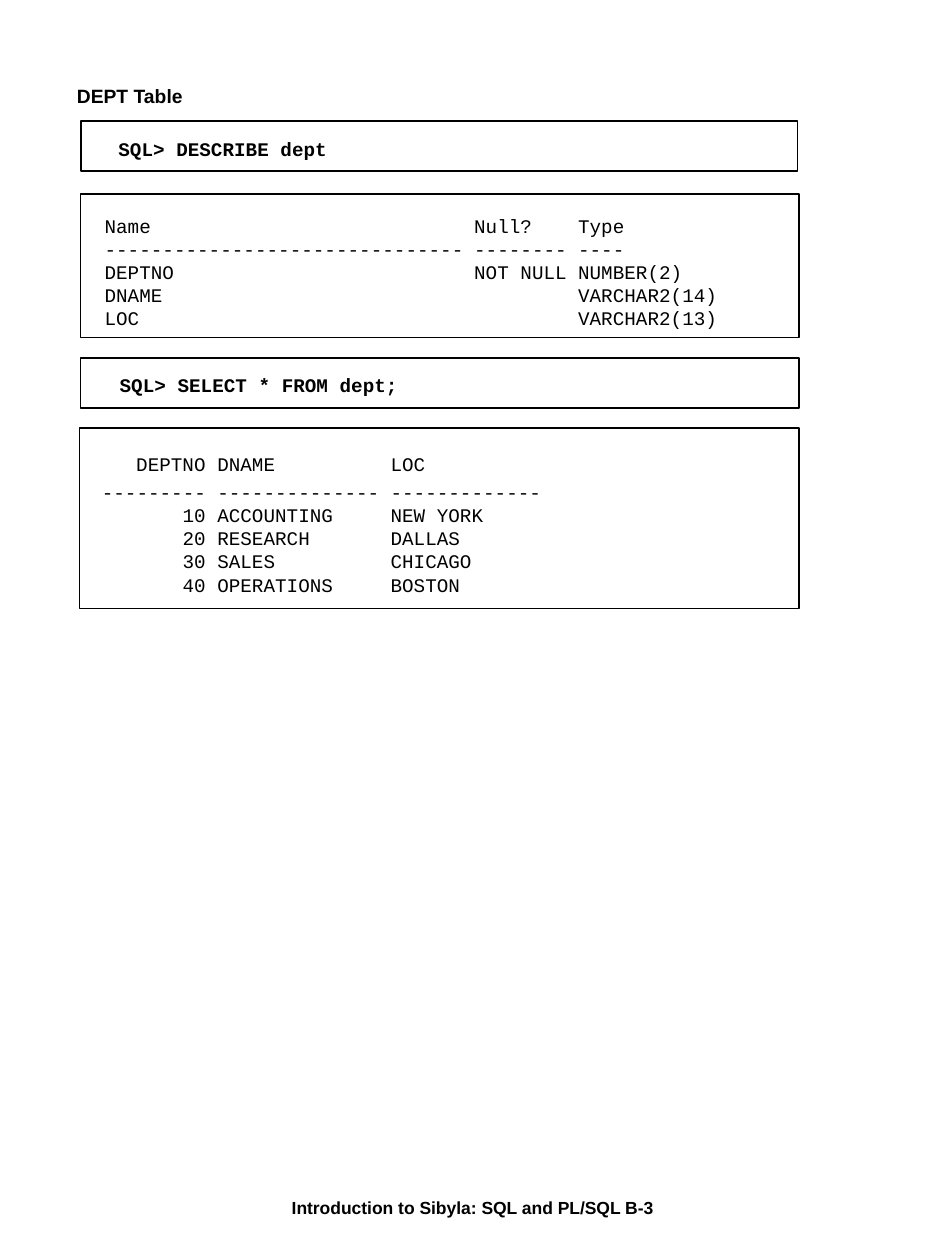
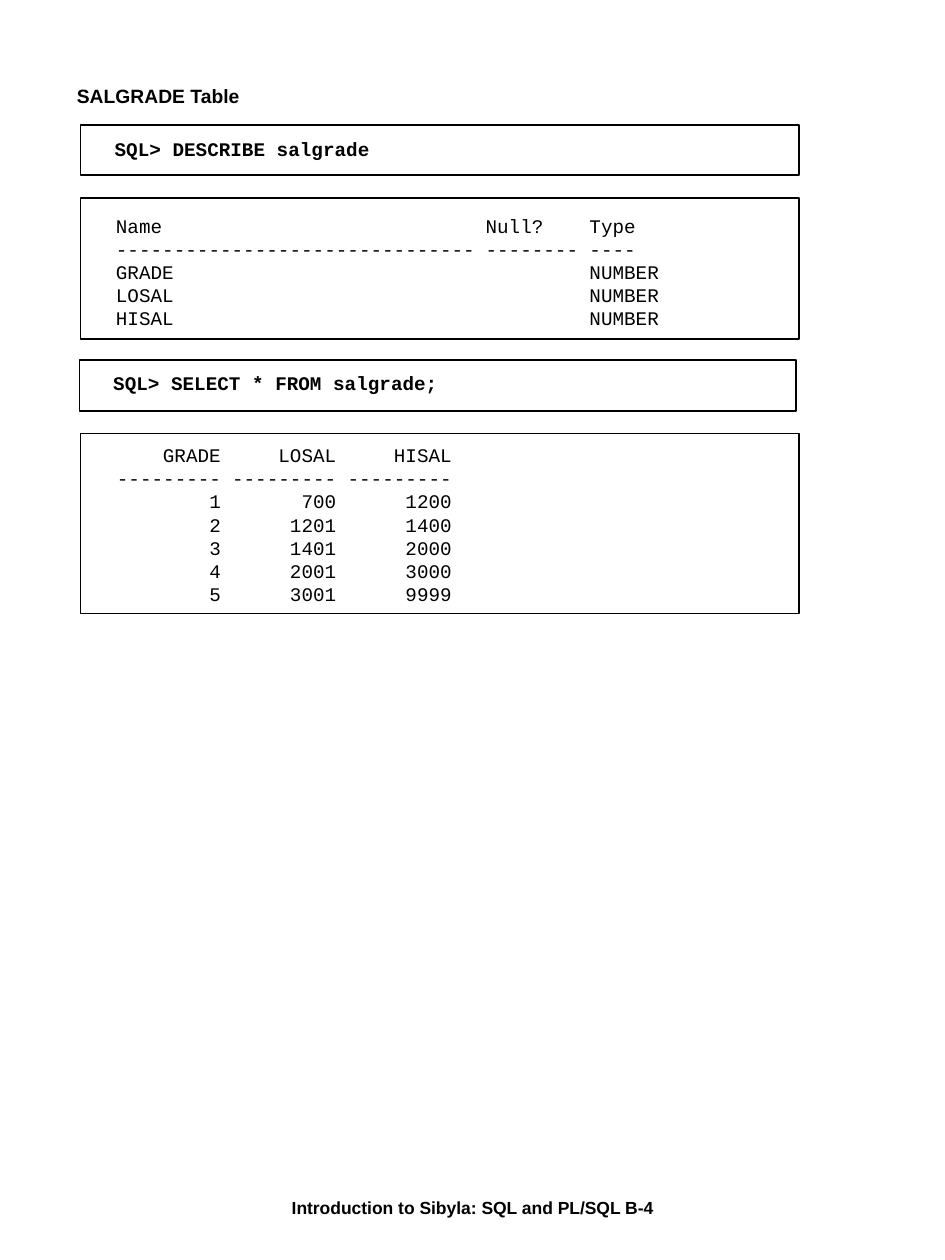
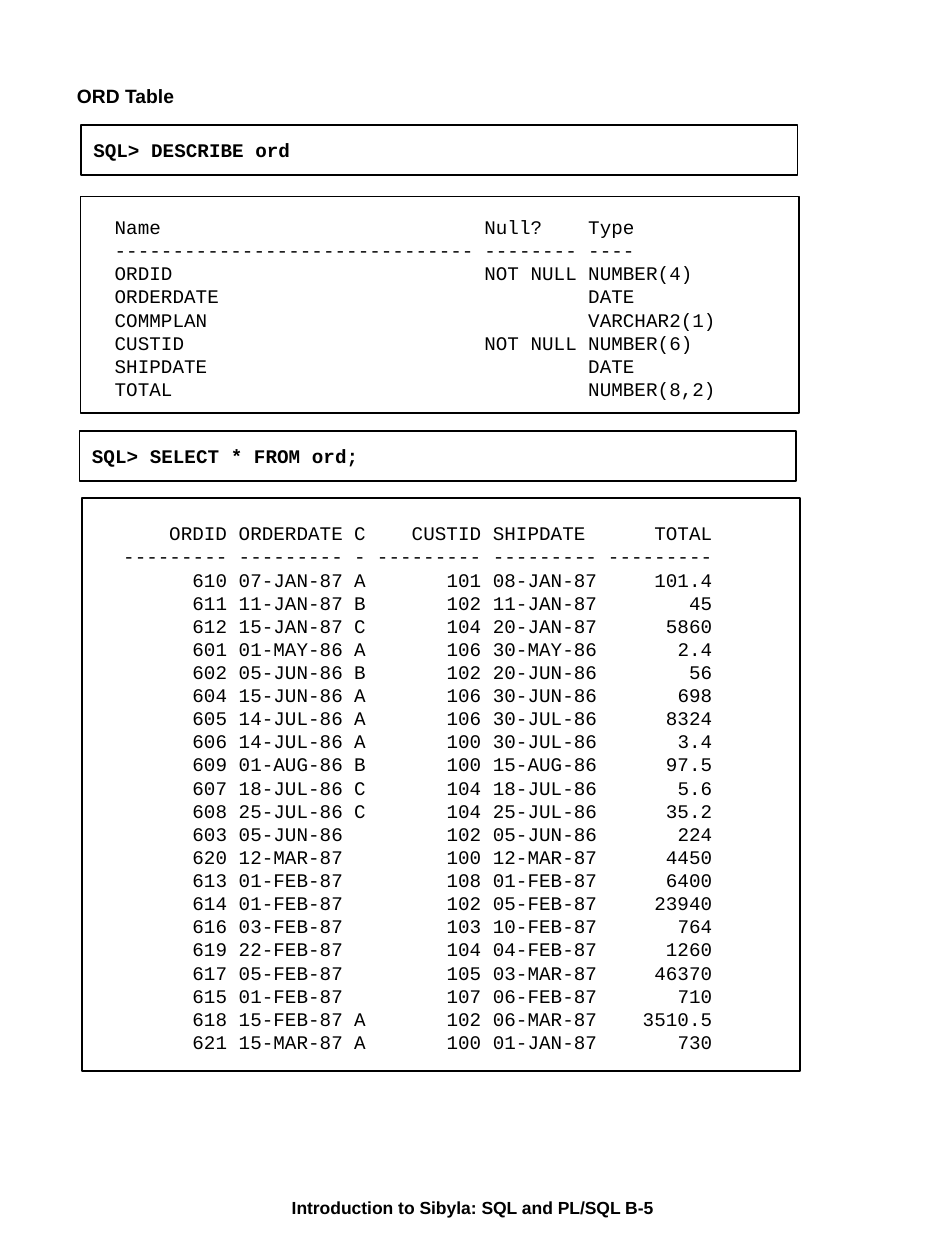
from dataclasses import dataclass

from lxml import etree
from pptx import Presentation
from pptx import util as u
from pptx.dml.color import RGBColor
from pptx.enum import shapes, text
from pptx.oxml import ns

# Shared style
COLORS = {"ink": "000000", "page": "FFFFFF"}
HEADING_FONT = "Arial"
CODE_FONT = "Courier New"
CODE_SIZE = u.Pt(11)
CODE_LEADING = u.Pt(13.2)
CHARACTER = u.Pt(6.6)  # advance of one Courier New character at 11 pt
FOOTER = "Introduction to Sibyla: SQL and PL/SQL B-{}"


@dataclass(frozen=True)
class Box:
    left: float
    top: float
    width: float
    height: float

    def lengths(self) -> tuple:
        return tuple(map(u.Inches, (self.left, self.top, self.width, self.height)))


@dataclass(frozen=True)
class Column:
    name: str
    width: int  # in characters
    right: bool = False


@dataclass(frozen=True)
class Command:
    frame: Box
    area: Box
    statement: str
    inset: float = 0.31


@dataclass(frozen=True)
class Listing:
    frame: Box
    area: Box
    columns: tuple
    rows: str  # one row a line, cells parted by |
    inset: float = 0.1
    inset_top: float = 0.05
    header_gap: float = 0


@dataclass(frozen=True)
class Page:
    number: int
    title: str
    body: Box
    panels: tuple


# Column sets
DESCRIBE = (Column("Name", 31), Column("Null?", 8), Column("Type", 12))
DEPT = (Column("DEPTNO", 9, True), Column("DNAME", 14), Column("LOC", 13))
SALGRADE = tuple(Column(name, 9, True) for name in ("GRADE", "LOSAL", "HISAL"))
ORD = (
    Column("ORDID", 9, True), Column("ORDERDATE", 9), Column("C", 1),
    Column("CUSTID", 9, True), Column("SHIPDATE", 9), Column("TOTAL", 9, True),
)

# Rows
DEPT_FIELDS = """DEPTNO|NOT NULL|NUMBER(2)
DNAME||VARCHAR2(14)
LOC||VARCHAR2(13)"""
DEPT_ROWS = """10|ACCOUNTING|NEW YORK
20|RESEARCH|DALLAS
30|SALES|CHICAGO
40|OPERATIONS|BOSTON"""
SALGRADE_FIELDS = """GRADE||NUMBER
LOSAL||NUMBER
HISAL||NUMBER"""
SALGRADE_ROWS = """1|700|1200
2|1201|1400
3|1401|2000
4|2001|3000
5|3001|9999"""
ORD_FIELDS = """ORDID|NOT NULL|NUMBER(4)
ORDERDATE||DATE
COMMPLAN||VARCHAR2(1)
CUSTID|NOT NULL|NUMBER(6)
SHIPDATE||DATE
TOTAL||NUMBER(8,2)"""
ORD_ROWS = """610|07-JAN-87|A|101|08-JAN-87|101.4
611|11-JAN-87|B|102|11-JAN-87|45
612|15-JAN-87|C|104|20-JAN-87|5860
601|01-MAY-86|A|106|30-MAY-86|2.4
602|05-JUN-86|B|102|20-JUN-86|56
604|15-JUN-86|A|106|30-JUN-86|698
605|14-JUL-86|A|106|30-JUL-86|8324
606|14-JUL-86|A|100|30-JUL-86|3.4
609|01-AUG-86|B|100|15-AUG-86|97.5
607|18-JUL-86|C|104|18-JUL-86|5.6
608|25-JUL-86|C|104|25-JUL-86|35.2
603|05-JUN-86||102|05-JUN-86|224
620|12-MAR-87||100|12-MAR-87|4450
613|01-FEB-87||108|01-FEB-87|6400
614|01-FEB-87||102|05-FEB-87|23940
616|03-FEB-87||103|10-FEB-87|764
619|22-FEB-87||104|04-FEB-87|1260
617|05-FEB-87||105|03-MAR-87|46370
615|01-FEB-87||107|06-FEB-87|710
618|15-FEB-87|A|102|06-MAR-87|3510.5
621|15-MAR-87|A|100|01-JAN-87|730"""

PAGES = (
    Page(3, "DEPT Table", Box(0.52, 0.61, 5.84, 8.48), (
        Command(Box(0.64, 0.96, 5.69, 0.4), Box(0.63, 1.04, 4.85, 0.42),
                "SQL> DESCRIBE dept"),
        Listing(Box(0.64, 1.54, 5.7, 1.14), Box(0.64, 1.65, 5.66, 1.01),
                DESCRIBE, DEPT_FIELDS, inset=0.19),
        Command(Box(0.64, 2.84, 5.7, 0.4), Box(0.64, 2.91, 5.69, 0.27),
                "SQL> SELECT * FROM dept;"),
        Listing(Box(0.63, 3.4, 5.71, 1.43), Box(0.71, 3.35, 3.7, 1.42),
                DEPT, DEPT_ROWS, inset_top=0.24, header_gap=2.8),
    )),
    Page(4, "SALGRADE Table", Box(0.52, 0.61, 5.84, 8.48), (
        Command(Box(0.64, 0.99, 5.7, 0.4), Box(0.64, 1.04, 3.72, 0.46),
                "SQL> DESCRIBE salgrade", inset=0.27),
        Listing(Box(0.64, 1.57, 5.7, 1.12), Box(0.64, 1.65, 5.92, 1.01),
                DESCRIBE, SALGRADE_FIELDS, inset=0.28),
        Command(Box(0.63, 2.86, 5.69, 0.4), Box(0.8, 2.9, 2.78, 0.28),
                "SQL> SELECT * FROM salgrade;", inset=0.1),
        Listing(Box(0.64, 3.44, 5.7, 1.43), Box(0.83, 3.47, 2.87, 1.39),
                SALGRADE, SALGRADE_ROWS),
    )),
    Page(5, "ORD Table", Box(0.52, 0.61, 6.24, 8.5), (
        Command(Box(0.64, 0.99, 5.69, 0.4), Box(0.42, 1.05, 2.42, 0.28),
                "SQL> DESCRIBE ord", inset=0.32),
        Listing(Box(0.64, 1.56, 5.7, 1.72), Box(0.72, 1.66, 5.08, 1.57),
                DESCRIBE, ORD_FIELDS, inset=0.19),
        Command(Box(0.63, 3.42, 5.69, 0.4), Box(0.41, 3.48, 2.97, 0.28),
                "SQL> SELECT * FROM ord;", inset=0.32),
        Listing(Box(0.65, 3.95, 5.7, 4.55), Box(0.88, 4.09, 4.9, 4.32),
                ORD, ORD_ROWS),
    )),
)


def set_frame(frame, left: float = 0, top: float = 0) -> None:
    frame.word_wrap = True
    frame.auto_size = text.MSO_AUTO_SIZE.NONE
    frame.vertical_anchor = text.MSO_ANCHOR.TOP
    frame.margin_left, frame.margin_top = u.Inches(left), u.Inches(top)
    frame.margin_right = frame.margin_bottom = 0


def set_font(paragraph, name: str, size: int, bold: bool) -> None:
    for run in paragraph.runs:
        run.font.name, run.font.size, run.font.bold = name, size, bold
        run.font.color.rgb = RGBColor.from_string(COLORS["ink"])


def set_tabs(paragraph, columns: tuple) -> None:
    """Place a stop at the start or, for right-aligned columns, the end of each column."""
    properties = paragraph._p.get_or_add_pPr()
    tabs = etree.SubElement(properties, ns.qn("a:tabLst"))
    start = 0
    for column in columns:
        place = start + column.width if column.right else start
        if place:
            etree.SubElement(tabs, ns.qn("a:tab"), pos=str(place * CHARACTER),
                             algn="r" if column.right else "l")
        start += column.width + 1


def add_frame(slide, box: Box) -> None:
    shape = slide.shapes.add_shape(shapes.MSO_SHAPE.RECTANGLE, *box.lengths())
    shape.shadow.inherit = False
    shape.fill.background()
    shape.line.color.rgb = RGBColor.from_string(COLORS["ink"])
    shape.line.width = u.Pt(1)


def add_code(slide, box: Box, code: str, left: float, top: float, bold: bool):
    frame = slide.shapes.add_textbox(*box.lengths()).text_frame
    set_frame(frame, left, top)
    frame.text = code
    for paragraph in frame.paragraphs:
        paragraph.line_spacing = CODE_LEADING
        set_font(paragraph, CODE_FONT, CODE_SIZE, bold)
    return frame


def add_command(slide, command: Command) -> None:
    add_frame(slide, command.frame)
    add_code(slide, command.area, command.statement, command.inset, 0.05, True)


def add_listing(slide, listing: Listing) -> None:
    add_frame(slide, listing.frame)
    columns = listing.columns
    rows = [[column.name for column in columns],
            ["-" * (4 if column.name == "Type" else column.width) for column in columns]]
    rows += [line.split("|") for line in listing.rows.splitlines()]
    lead = "\t" if columns[0].right else ""
    code = "\n".join(lead + "\t".join(row) for row in rows)
    frame = add_code(slide, listing.area, code, listing.inset, listing.inset_top, False)
    frame.paragraphs[0].space_after = u.Pt(listing.header_gap)
    for paragraph in frame.paragraphs:
        set_tabs(paragraph, columns)


def add_title(slide, page: Page) -> None:
    title = slide.shapes.title
    title.left, title.top, title.width, title.height = page.body.lengths()
    set_frame(title.text_frame, 0.09, 0.04)
    title.text_frame.text = page.title
    paragraph = title.text_frame.paragraphs[0]
    paragraph.alignment = text.PP_ALIGN.LEFT
    paragraph.line_spacing = 1.1
    set_font(paragraph, HEADING_FONT, u.Pt(11), True)


def add_footer(slide, number: int) -> None:
    frame = slide.shapes.add_textbox(*Box(0.85, 9.5, 5.8, 0.17).lengths()).text_frame
    set_frame(frame)
    frame.text = FOOTER.format(number)
    frame.paragraphs[0].alignment = text.PP_ALIGN.CENTER
    set_font(frame.paragraphs[0], HEADING_FONT, u.Pt(10), True)


def add_page(presentation, page: Page) -> None:
    slide = presentation.slides.add_slide(presentation.slide_layouts[5])
    slide.background.fill.solid()
    slide.background.fill.fore_color.rgb = RGBColor.from_string(COLORS["page"])
    add_title(slide, page)
    for panel in page.panels:
        if isinstance(panel, Command):
            add_command(slide, panel)
        else:
            add_listing(slide, panel)
    add_footer(slide, page.number)


def main() -> None:
    presentation = Presentation()
    presentation.slide_width, presentation.slide_height = u.Inches(7.5), u.Inches(10)
    for page in PAGES:
        add_page(presentation, page)
    presentation.save("out.pptx")


if __name__ == "__main__":
    main()
